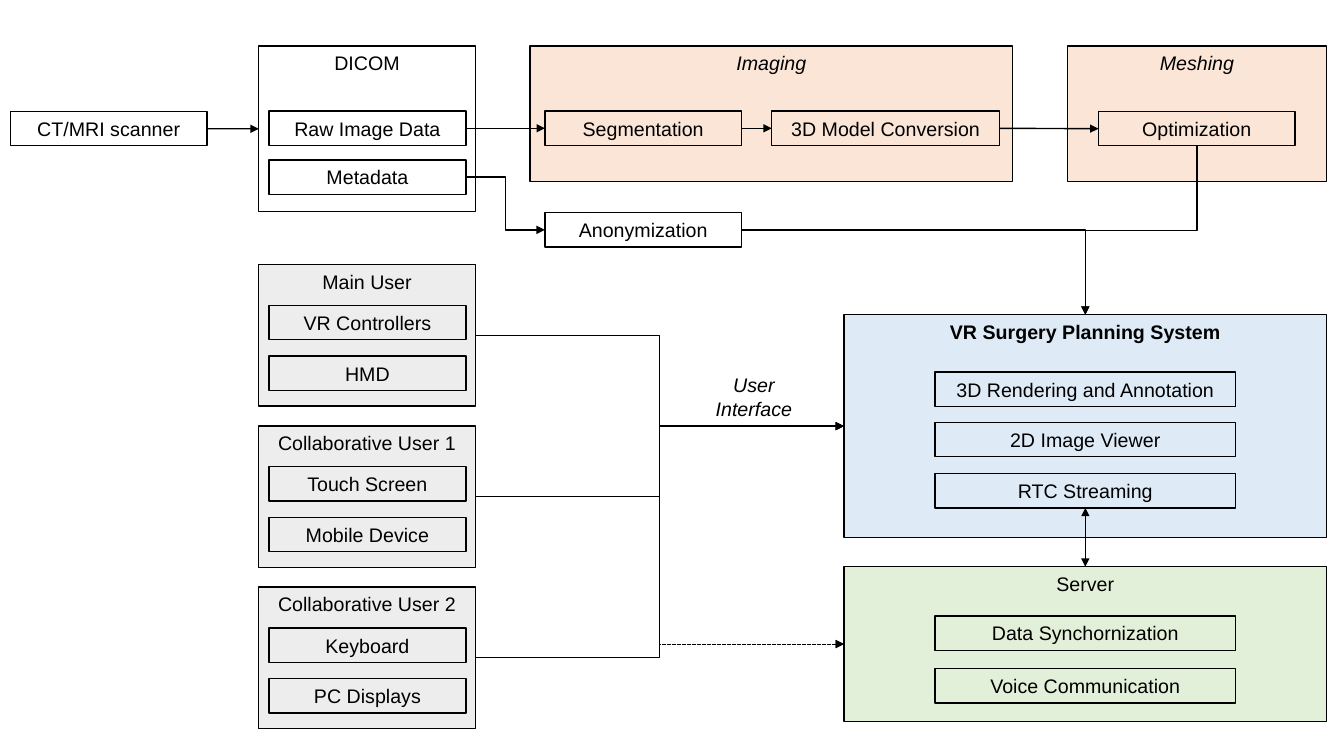
from lxml.etree import SubElement
from pptx import Presentation
from pptx.dml.color import RGBColor
from pptx.enum.dml import MSO_LINE
from pptx.enum.shapes import MSO_CONNECTOR, MSO_SHAPE
from pptx.enum.text import MSO_ANCHOR, PP_ALIGN
from pptx.oxml.ns import qn
from pptx.util import Pt

COLORS = {
    "ink": "000000",
    "user": "EDEDED",
    "tool": "FBE5D6",
    "system": "DEEBF7",
    "server": "E2F0D9",
}
TOP, LEFT, BOTTOM, RIGHT = range(4)
STEP_HEIGHT = 24.5
STEP_WIDTH = 140.6
SOURCE_LEFT, SOURCE_WIDTH = 184.8, 154.8
SYSTEM_LEFT, SYSTEM_WIDTH = 602.8, 344.9
USERS = [
    ("Main User", ["VR Controllers", "HMD"]),
    ("Collaborative User 1", ["Touch Screen", "Mobile Device"]),
    ("Collaborative User 2", ["Keyboard", "PC Displays"]),
]


def color(name):
    return RGBColor.from_string(COLORS[name])


def write_text(shape, text, bold=False, italic=False, anchor=MSO_ANCHOR.TOP):
    frame = shape.text_frame
    frame.word_wrap = True
    frame.vertical_anchor = anchor
    paragraph = frame.paragraphs[0]
    paragraph.alignment = PP_ALIGN.CENTER
    run = paragraph.add_run()
    run.text = text
    run.font.name = "Arial"
    run.font.size = Pt(14)
    run.font.bold = bold
    run.font.italic = italic
    run.font.color.rgb = color("ink")


def add_box(slide, text, left, top, width, height, fill=None, **text_format):
    box = slide.shapes.add_shape(
        MSO_SHAPE.RECTANGLE, Pt(left), Pt(top), Pt(width), Pt(height))
    box.shadow.inherit = False
    if fill:
        box.fill.solid()
        box.fill.fore_color.rgb = color(fill)
    else:
        box.fill.background()
    box.line.color.rgb = color("ink")
    box.line.width = Pt(1)
    write_text(box, text, **text_format)
    return box


def add_step(slide, text, left, top, width=STEP_WIDTH, fill=None):
    return add_box(slide, text, left, top, width, STEP_HEIGHT, fill,
                   anchor=MSO_ANCHOR.MIDDLE)


def add_arrow(slide, kind, start=(0, 0), end=(0, 0), width=1, dashed=False,
              both_ends=False):
    arrow = slide.shapes.add_connector(kind, *map(Pt, start + end))
    arrow.line.color.rgb = color("ink")
    arrow.line.width = Pt(width)
    if dashed:
        arrow.line.dash_style = MSO_LINE.DASH
    outline = arrow.line._get_or_add_ln()
    for tag in ["a:headEnd", "a:tailEnd"] if both_ends else ["a:tailEnd"]:
        SubElement(outline, qn(tag), type="triangle")
    SubElement(arrow._element.spPr, qn("a:effectLst"))
    return arrow


def join(slide, source, target, kind=MSO_CONNECTOR.STRAIGHT, sides=(RIGHT, LEFT),
         **line_format):
    arrow = add_arrow(slide, kind, **line_format)
    arrow.begin_connect(source, sides[0])
    arrow.end_connect(target, sides[1])


def add_image_pipeline(slide):
    dicom = add_box(slide, "DICOM", SOURCE_LEFT, 33, SOURCE_WIDTH, 118)
    add_box(slide, "Imaging", 378.6, 33, 344.8, 96.5, "tool", italic=True)
    add_box(slide, "Meshing", 762.3, 33, 185.4, 96.5, "tool", italic=True)

    scanner = add_step(slide, "CT/MRI scanner", 7.4, 79.7)
    raw_data = add_step(slide, "Raw Image Data", 192.2, 79.4)
    metadata = add_step(slide, "Metadata", 192.2, 114.3)
    anonymization = add_step(slide, "Anonymization", 389.2, 152)
    segmentation = add_step(slide, "Segmentation", 389.2, 79.4)
    conversion = add_step(slide, "3D Model Conversion", 551.3, 79.4, 162.6)
    optimization = add_step(slide, "Optimization", 784.6, 79.7)

    join(slide, scanner, dicom)
    join(slide, raw_data, segmentation)
    join(slide, segmentation, conversion)
    join(slide, conversion, optimization)
    join(slide, metadata, anonymization, MSO_CONNECTOR.ELBOW)


def add_system(slide):
    system = add_box(slide, "VR Surgery Planning System", SYSTEM_LEFT, 224.8,
                     SYSTEM_WIDTH, 159.2, "system", bold=True)
    server = add_box(slide, "Server", SYSTEM_LEFT, 404.8, SYSTEM_WIDTH, 110.6,
                     "server")
    for text, top in [("3D Rendering and Annotation", 265.8),
                      ("2D Image Viewer", 301.6)]:
        add_step(slide, text, 667.9, top, 214.7)
    streaming = add_step(slide, "RTC Streaming", 667.9, 338.3, 214.7)
    for text, top in [("Data Synchornization", 440), ("Voice Communication", 477.6)]:
        add_step(slide, text, 667.9, top, 214.7, "server")
    join(slide, streaming, server, sides=(BOTTOM, TOP), width=0.5, both_ends=True)
    return system, server


def add_system_inputs(slide):
    """Lead the anonymized data and the optimized model down into the system."""
    data_arrow = add_arrow(slide, MSO_CONNECTOR.ELBOW, (529.8, 164.3), (775.25, 224.8))
    data_arrow._element.spPr.prstGeom.set("prst", "bentConnector2")
    # A quarter turn makes this elbow leave and arrive vertically.
    model_arrow = add_arrow(slide, MSO_CONNECTOR.ELBOW, (754.78, 124.68), (875.38, 204.33))
    model_arrow._element.spPr.xfrm.set("rot", "5400000")


def add_users(slide, system, server):
    panels = []
    for row, (user, devices) in enumerate(USERS):
        top = 189 + 115.2 * row
        panels.append(add_box(slide, user, SOURCE_LEFT, top, SOURCE_WIDTH, 101, "user"))
        for index, device in enumerate(devices):
            add_step(slide, device, 192.2, top + 29.2 + 36.2 * index, fill="user")
    for panel in panels:
        join(slide, panel, system, MSO_CONNECTOR.ELBOW)
    for panel in panels[:2]:
        join(slide, panel, server, MSO_CONNECTOR.ELBOW, width=0.5, dashed=True)
    label = slide.shapes.add_textbox(Pt(490.5), Pt(263), Pt(96), Pt(41))
    write_text(label, "User Interface", italic=True)


def main():
    presentation = Presentation()
    presentation.slide_width = Pt(960)
    presentation.slide_height = Pt(540)
    slide = presentation.slides.add_slide(presentation.slide_layouts[6])
    add_image_pipeline(slide)
    system, server = add_system(slide)
    add_system_inputs(slide)
    add_users(slide, system, server)
    presentation.save("out.pptx")


if __name__ == "__main__":
    main()
